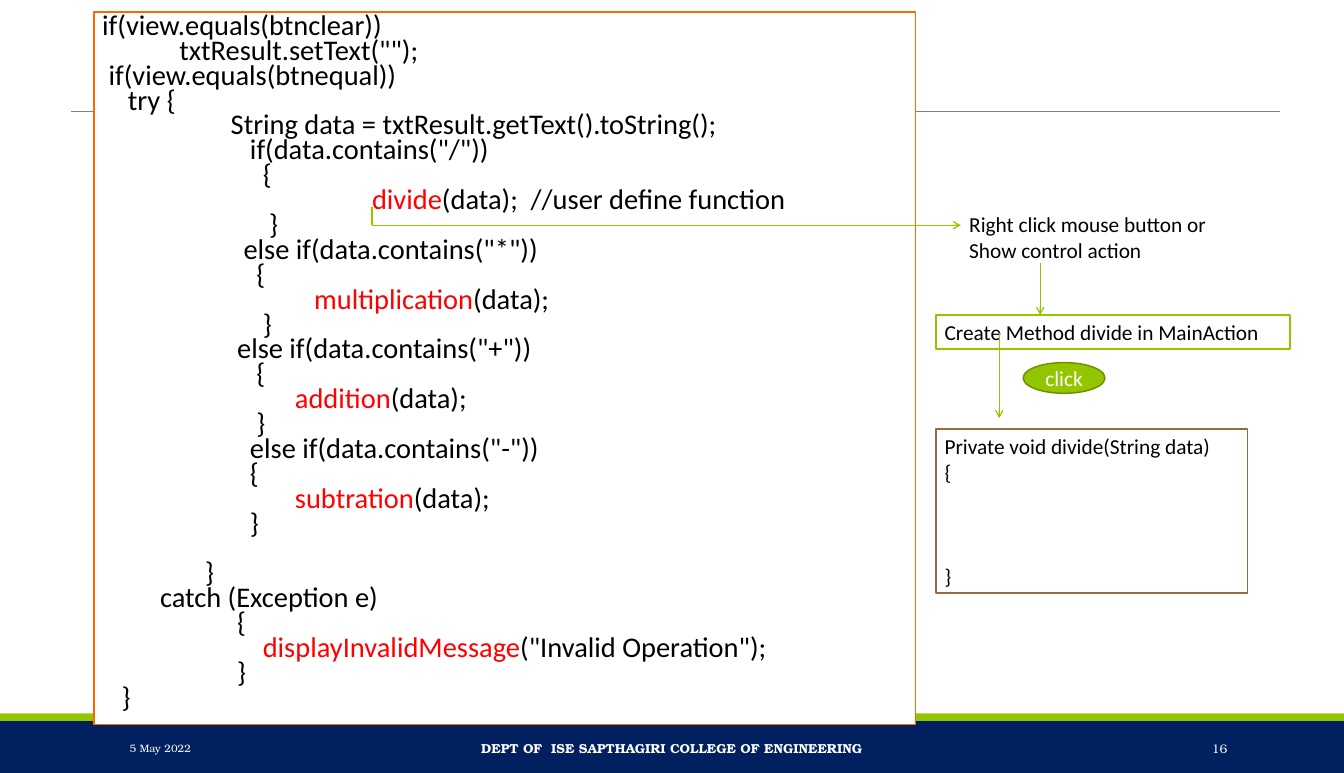
from lxml.etree import SubElement
from pptx import Presentation
from pptx.dml.color import RGBColor
from pptx.enum.shapes import MSO_CONNECTOR as Link, MSO_SHAPE as Form
from pptx.enum.text import MSO_ANCHOR as Anchor, PP_ALIGN as Align
from pptx.oxml.ns import qn
from pptx.util import Inches, Pt

NAVY, GREEN, BLACK, WHITE, RED = "002060", "94C600", "000000", "FFFFFF", "FF0000"
SERIF, SANS = "TeX Gyre Bonum", "Calibri"
SPACE_WIDTH = Pt(5.42)

CODE = [
    (0, "", "if(view.equals(btnclear))"),
    (12, "", 'txtResult.setText("");'),
    (1, "", "if(view.equals(btnequal))"),
    (4, "", "try {"),
    (20, "", "String data = txtResult.getText().toString();"),
    (23, "", 'if(data.contains("/"))'),
    (25, "", "{"),
    (42, "divide", "(data);  //user define function"),
    (26, "", "}"),
    (22, "", 'else if(data.contains("*"))'),
    (24, "", "{"),
    (33, "multiplication", "(data);"),
    (25, "", "}"),
    (21, "", 'else if(data.contains("+"))'),
    (24, "", "{"),
    (30, "addition", "(data);"),
    (24, "", "}"),
    (23, "", 'else if(data.contains("-"))'),
    (23, "", "{"),
    (30, "subtration", "(data);"),
    (23, "", "}"),
    (16, "", "}"),
    (9, "", "catch (Exception e)"),
    (21, "", "{"),
    (25, "displayInvalidMessage", '("Invalid Operation");'),
    (21, "", "}"),
    (3, "", "}"),
]
TRY_END = 21


def rgb(value):
    return RGBColor.from_string(value)


def write(paragraph, text, size=18, font=SANS, color=BLACK, bold=False, align=Align.LEFT):
    paragraph.alignment = align
    run = paragraph.add_run()
    run.text = text
    run.font.size, run.font.name, run.font.bold = Pt(size), font, bold
    run.font.color.rgb = rgb(color)


class Board:
    """Draws styled elements on one slide."""

    def __init__(self, slide):
        self.shapes = slide.shapes

    def frame(self, shape, lines, anchor=Anchor.TOP, wrap=True, **style):
        frame = shape.text_frame
        frame.word_wrap, frame.vertical_anchor = wrap, anchor
        for number, line in enumerate(lines):
            paragraph = frame.add_paragraph() if number else frame.paragraphs[0]
            write(paragraph, line, **style)
        return frame

    def label(self, box, *lines, **style):
        area = self.shapes.add_textbox(*map(Inches, box))
        return self.frame(area, lines, **style)

    def panel(self, box, fill, border=None, form=Form.RECTANGLE):
        shape = self.shapes.add_shape(form, *map(Inches, box))
        shape.shadow.inherit = False
        shape.fill.solid()
        shape.fill.fore_color.rgb = rgb(fill)
        if border:
            shape.line.color.rgb = rgb(border)
            shape.line.width = Pt(1.25)
        else:
            shape.line.fill.background()
        return shape

    def line(self, start, end, color=GREEN, width=1, arrow=False):
        link = self.shapes.add_connector(Link.STRAIGHT, *map(Inches, start + end))
        link.line.color.rgb = rgb(color)
        link.line.width = Pt(width)
        if arrow:
            SubElement(link.line._get_or_add_ln(), qn("a:tailEnd"), type="arrow")
        SubElement(link._element.spPr, qn("a:effectLst"))

    def listing(self, box, border, rows):
        frame = self.panel(box, WHITE, border).text_frame
        frame.word_wrap, frame.vertical_anchor = True, Anchor.TOP
        for number, (spaces, call, rest) in enumerate(rows):
            paragraph = frame.add_paragraph() if number else frame.paragraphs[0]
            paragraph.line_spacing = Pt(21)
            paragraph._p.get_or_add_pPr().set("marL", str(spaces * SPACE_WIDTH))
            if call:
                write(paragraph, call, size=24, color=RED)
            write(paragraph, rest, size=24)
        return frame


def main():
    deck = Presentation()
    deck.slide_width, deck.slide_height = Inches(15.75), Inches(9.06)
    board = Board(deck.slides.add_slide(deck.slide_layouts[6]))

    board.panel((0, 8.45, 15.75, 0.61), NAVY)
    board.panel((0, 8.36, 15.75, 0.09), GREEN)
    board.line((0.83, 1.31), (15, 1.31), color="808080", width=0.5)
    footer = dict(font=SERIF, color=WHITE, anchor=Anchor.MIDDLE)
    board.label((1.42, 8.53, 3.19, 0.48), "5 May 2022", size=9, **footer)
    board.label((4.76, 8.53, 6.23, 0.48), "DEPT OF  ISE SAPTHAGIRI COLLEGE OF ENGINEERING",
                size=11, bold=True, align=Align.CENTER, **footer)
    board.label((12.79, 8.53, 1.69, 0.48), "16", size=10.5, align=Align.RIGHT, **footer)

    code = board.listing((1.1, 0.14, 9.63, 8.35), "FF6700", CODE)
    code.paragraphs[TRY_END].space_before = Pt(21)

    board.line((4.36, 2.43), (4.36, 2.64))
    board.line((4.36, 2.64), (11.26, 2.64), arrow=True)
    board.label((11.26, 2.43, 4.04, 1.01), "Right click mouse button or", "Show control action")
    board.line((12.19, 3.08), (12.19, 3.69), arrow=True)
    create_method = board.panel((10.97, 3.69, 4.15, 0.4), WHITE, GREEN)
    board.frame(create_method, ["Create Method divide in MainAction"])
    board.line((11.71, 3.9), (11.71, 4.9), arrow=True)
    click = board.panel((11.99, 4.25, 0.96, 0.36), GREEN, "6D9200", Form.OVAL)
    board.frame(click, ["click"], anchor=Anchor.MIDDLE, wrap=False, color=WHITE, align=Align.CENTER)
    method = board.panel((10.97, 5.03, 3.65, 1.92), WHITE, "956B43")
    body = board.frame(method, ["Private void divide(String data)", "{", "}"])
    body.paragraphs[-1].space_before = Pt(66)

    deck.save("out.pptx")


if __name__ == "__main__":
    main()
